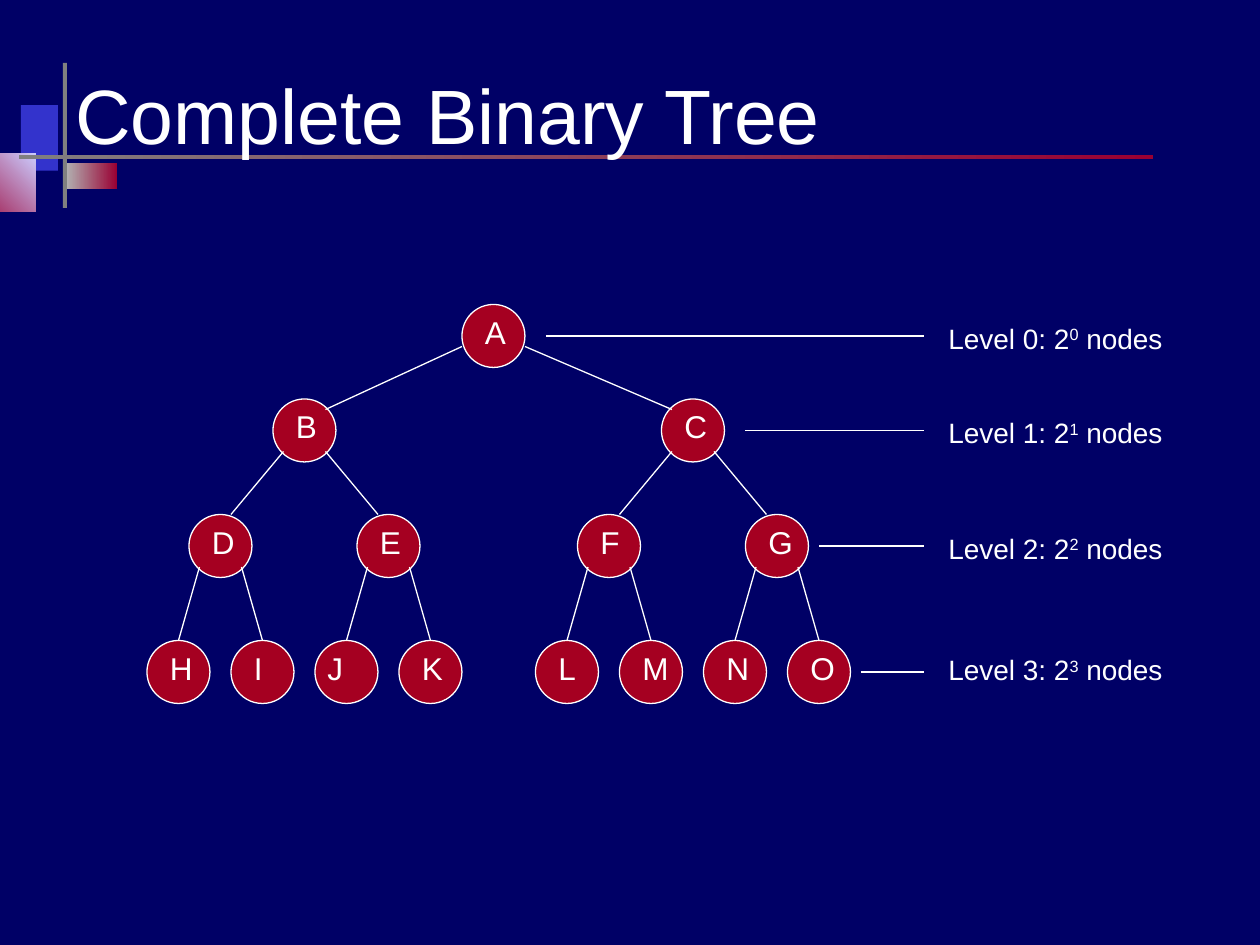
from lxml.etree import SubElement
from pptx import Presentation
from pptx.dml.color import RGBColor as RGB
from pptx.enum.shapes import MSO_CONNECTOR as LINK, MSO_SHAPE as SHAPE
from pptx.enum.text import MSO_ANCHOR as ANCHOR, MSO_AUTO_SIZE as FIT
from pptx.oxml.ns import qn
from pptx.util import Cm, Pt

NAVY = RGB(0x00, 0x00, 0x66)
BLUE = RGB(0x33, 0x33, 0xCC)
LILAC = RGB(0xCC, 0xCC, 0xFF)
SILVER = RGB(0xB2, 0xB2, 0xB2)
GRAY = RGB(0x80, 0x80, 0x80)
WINE = RGB(0x99, 0x00, 0x33)
RED = RGB(0xA5, 0x00, 0x21)
WHITE = RGB(0xFF, 0xFF, 0xFF)

UNIT = 2.54 / 12
SIZE = 6
TOPS = [29, 38, 49, 61]
LEVELS = [
    {"A": 44},
    {"B": 26, "C": 63},
    {"D": 18, "E": 34, "F": 55, "G": 71},
    {name: left + 8 * i for left, names in ((14, "HIJK"), (51, "LMNO"))
     for i, name in enumerate(names)},
]
JOINTS = [(0, 4, 1, 1), (1, 5, 2, 0), (1, 5, 3, 0)]
GAPS = [2, 2, 1, 1]
DROPS = [1, 1, 1, 0.56]


class Board:
    """Draw styled elements on the current slide, with lengths in centimetres."""

    def __init__(self, slide, font="Arial", ink=WHITE, weight=0.75):
        self.slide, self.font, self.ink, self.weight = slide, font, ink, weight
        slide.background.fill.solid()
        slide.background.fill.fore_color.rgb = NAVY

    def shape(self, kind, box, colors, angle=0):
        item = self.slide.shapes.add_shape(kind, *map(Cm, box))
        item.shadow.inherit = False
        item.line.fill.background()
        if len(colors) == 1:
            item.fill.solid()
            item.fill.fore_color.rgb = colors[0]
        else:
            item.fill.gradient()
            item.fill.gradient_angle = angle
            for stop, color in zip(item.fill.gradient_stops, colors):
                stop.color.rgb = color
        return item

    def node(self, left, top):
        box = [n * UNIT for n in (left, top, SIZE, SIZE)]
        item = self.shape(SHAPE.OVAL, box, [RED])
        item.line.color.rgb = self.ink
        item.line.width = Pt(self.weight)
        return item

    def text(self, box, parts, size, wrap=True, fit=FIT.SHAPE_TO_FIT_TEXT,
             anchor=ANCHOR.TOP):
        frame = self.slide.shapes.add_textbox(*map(Cm, box)).text_frame
        frame.word_wrap, frame.auto_size = wrap, fit
        frame.vertical_anchor = anchor
        para = frame.paragraphs[0]
        for i, part in enumerate(parts):
            run = para.add_run()
            run.text = part
            run.font.name, run.font.size = self.font, Pt(size)
            run.font.color.rgb = self.ink
            if i == 1:
                run.font._element.set("baseline", "30000")

    def line(self, *ends):
        item = self.slide.shapes.add_connector(
            LINK.STRAIGHT, *(Cm(n * UNIT) for n in ends))
        item.line.color.rgb = self.ink
        item.line.width = Pt(self.weight)
        SubElement(item._element.spPr, qn("a:effectLst"))
        return item


def main():
    deck = Presentation()
    deck.slide_width, deck.slide_height = Cm(25.4), Cm(19.05)
    board = Board(deck.slides.add_slide(deck.slide_layouts[6]))

    for box, colors, angle in (
        ((0.42, 2.12, 0.75, 1.32), [BLUE], 0),
        ((1.33, 3.29, 1.03, 0.52), [SILVER, WINE], 0),
        ((-0.84, 3.09, 1.56, 1.18), [WINE, LILAC], 45),
        ((1.27, 1.27, 0.08, 2.92), [GRAY], 0),
        ((0.38, 3.12, 22.86, 0.09), [GRAY, WINE], 0),
    ):
        board.shape(SHAPE.RECTANGLE, box, colors, angle)
    board.text((1.27, 1.02, 22.86, 2.54), ["Complete Binary Tree"], 44,
               fit=FIT.NONE, anchor=ANCHOR.MIDDLE)

    nodes = {}
    for top, level in zip(TOPS, LEVELS):
        for name, left in level.items():
            nodes[name] = board.node(left, top)
            shift, width = (0, 6) if name == "J" else (1, 5 if name in "IKLFMGO" else 4)
            board.text(((left + shift) * UNIT, top * UNIT + 0.04,
                        width * UNIT, 1.02), [name], 18)

    for depth, (px, py, cx, cy) in enumerate(JOINTS):
        parents = list(LEVELS[depth].values())
        for i, (name, left) in enumerate(LEVELS[depth + 1].items()):
            start, end = px, SIZE - cx
            if i % 2:
                start, end = SIZE - px, cx
            edge = board.line(parents[i // 2] + start, TOPS[depth] + py,
                              left + end, TOPS[depth + 1] + cy)
            if end == SIZE / 2:
                edge.end_connect(nodes[name], 0)

    for depth, (top, level) in enumerate(zip(TOPS, LEVELS)):
        right = max(level.values()) + SIZE
        middle = top + SIZE / 2
        board.line(right + GAPS[depth], middle, 88, middle)
        board.text((18.87, (top + DROPS[depth]) * UNIT, 4.83, 0.94),
                   [f"Level {depth}: 2", str(depth), " nodes"], 16, wrap=False)

    deck.save("out.pptx")


if __name__ == "__main__":
    main()
